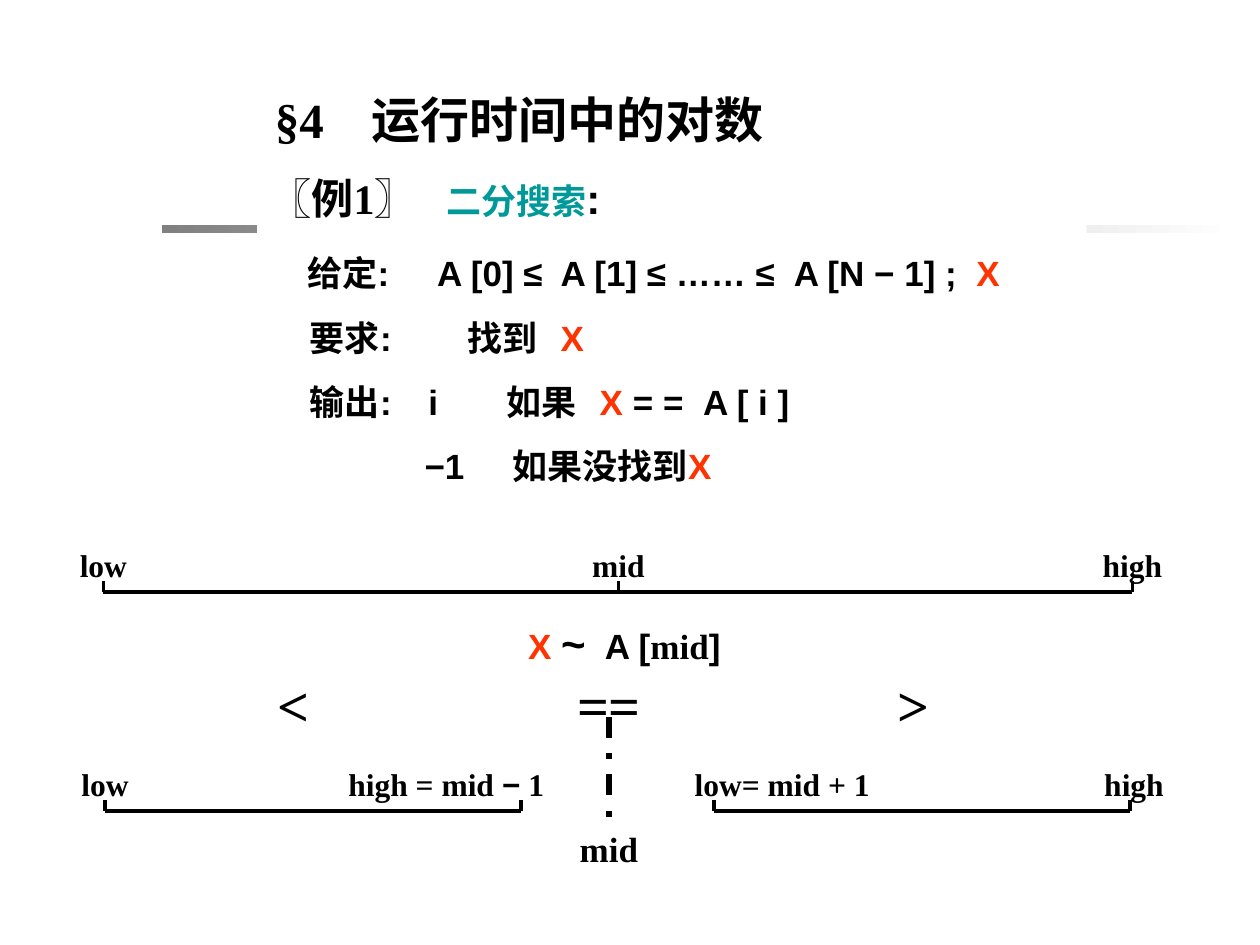
from lxml import etree
from pptx import Presentation
from pptx.dml.color import RGBColor
from pptx.enum.dml import MSO_LINE
from pptx.enum.shapes import MSO_CONNECTOR, MSO_SHAPE
from pptx.enum.text import PP_ALIGN
from pptx.oxml.ns import qn
from pptx.util import Inches, Pt

LEFT, CENTER = PP_ALIGN.LEFT, PP_ALIGN.CENTER
STRAIGHT, RECT = MSO_CONNECTOR.STRAIGHT, MSO_SHAPE.RECTANGLE
DASH_DOT = MSO_LINE.DASH_DOT
SERIF, SANS = "Times New Roman", "Arial"
BLACK, WHITE, GRAY, TEAL, RED = "000000", "FFFFFF", "808080", "009999", "FF3300"
COLUMNS, ROWS = 120, 90


def rgb(value):
    return RGBColor.from_string(value)


class Deck:
    def __init__(self):
        self.prs = Presentation()
        self.prs.slide_width, self.prs.slide_height = Inches(10), Inches(7.5)
        self.s = self.prs.slides.add_slide(self.prs.slide_layouts[6])

    def x(self, columns):
        return round(self.prs.slide_width * columns / COLUMNS)

    def y(self, rows):
        return round(self.prs.slide_height * rows / ROWS)

    def place(self, left, top, width, height):
        return self.x(left), self.y(top), self.x(width), self.y(height)

    def style(self, font, size=None, name=None, color=None):
        if size:
            font.size = Pt(size)
        if name:
            font.name = name
        if color:
            font.color.rgb = rgb(color)

    def paragraph(self, p, runs, size, name, align=LEFT, tabs=()):
        if tabs:
            tab_list = etree.SubElement(p._p.get_or_add_pPr(), qn("a:tabLst"))
            for tab in tabs:
                etree.SubElement(tab_list, qn("a:tab"), pos=str(Inches(tab)), algn="l")
        p.alignment = align
        p.font.bold = True
        self.style(p.font, size, name, BLACK)
        for text, changes in runs:
            r = p.add_run()
            r.text = text
            self.style(r.font, **changes)

    def text(self, box, paragraphs, size, name=SERIF, align=CENTER, inset=0.0,
             gap=0.0, fill=None):
        sp = self.s.shapes.add_textbox(*self.place(*box))
        if fill:
            sp.fill.solid()
            sp.fill.fore_color.rgb = rgb(fill)
        tf = sp.text_frame
        tf.word_wrap = True
        tf.margin_left = tf.margin_right = Inches(inset)
        for i, (runs, tabs) in enumerate(paragraphs):
            p = tf.add_paragraph() if i else tf.paragraphs[0]
            self.paragraph(p, runs, size, name, align, tabs)
            if i:
                p.space_before = Pt(gap)

    def label(self, center, top, width, height, text, size):
        runs = text if isinstance(text, list) else [(text, {})]
        self.text((center - width / 2, top, width, height), [(runs, [])], size)

    def line(self, x1, y1, x2, y2, width=2, dash=None):
        c = self.s.shapes.add_connector(
            STRAIGHT, self.x(x1), self.y(y1), self.x(x2), self.y(y2))
        c.line.width = Pt(width)
        c.line.color.rgb = rgb(BLACK)
        if dash:
            c.line.dash_style = dash
        etree.SubElement(c._element.spPr, qn("a:effectLst"))

    def interval(self, row, marks):
        self.line(marks[0][0], row, marks[-1][0], row)
        for tick, center, width, text in marks:
            self.line(tick, row, tick, row - 1.1)
            self.label(center, row - 5, width, 4.8, text, 18)

    def gradient_bar(self, box, start, end):
        sp = self.s.shapes.add_shape(RECT, *self.place(*box))
        sp.shadow.inherit = False
        sp.fill.gradient()
        sp.fill.gradient_angle = 0
        for stop, color in zip(sp.fill.gradient_stops, (start, end)):
            stop.color.rgb = rgb(color)
        sp.line.color.rgb = rgb(WHITE)
        sp.line.width = Pt(0.11)


def main():
    deck = Deck()
    red, plain = {"color": RED}, {}
    sans = {"name": SANS}

    deck.gradient_bar((15.35, 21.35, 102.4, 0.9), GRAY, WHITE)
    deck.text((25, 7.9, 86, 6.8), [([("§4\t运行时间中的对数", plain)], [0.77])],
              28, align=LEFT, inset=0.1)

    problem = [
        ([("〖例1〗\t", {"size": 24, "name": SERIF}), ("二分搜索", {"color": TEAL}),
          (":", {"size": 24})], [1.4]),
        ([("\t", {"size": 24}), ("给定:\tA [0] ≤\tA [1] ≤ …… ≤\tA [N − 1] ;\t", plain),
          ("X", red)], [0.3, 1.33, 2.31, 4.16, 5.61]),
        ([("\t要求:\t找到\t", plain), ("X", red)], [0.32, 1.57, 2.31]),
        ([("\t输出:\ti\t如果\t", plain), ("X ", red), ("= =\tA [ i ]", plain)],
         [0.32, 1.26, 1.88, 2.62, 3.44]),
        ([("\t−1\t如果没找到", plain), ("X", red)], [1.23, 1.93]),
    ]
    deck.text((24.5, 15.8, 79, 35.2), problem, 20, SANS, LEFT, 0.1, 12.5, WHITE)

    deck.interval(56.4, [(9.85, 9.85, 8, "low"), (58.9, 58.9, 9, "mid"),
                         (107.85, 107.85, 8, "high")])
    comparison = [("X ", red), ("~", {"size": 24}), ("\tA [", plain),
                  ("mid", {"name": SERIF}), ("]", plain)]
    deck.text((50.3, 58.2, 31.7, 6), [(comparison, [0.61])], 20, SANS, LEFT)

    deck.interval(77.25, [(10, 10, 8, "low"),
                          (49.6, 42.5, 25, [("high = mid ", plain), ("−", sans),
                                            (" 1", plain)])])
    deck.interval(77.25, [(68, 74.5, 25, "low= mid + 1"), (107.6, 108, 8, "high")])

    for center, sign in ((28, "<"), (87, ">"), (58, "==")):
        deck.label(center, 63.3, 12, 7.7, sign, 32)
    deck.line(58, 68.25, 58, 78.2, 3, DASH_DOT)
    deck.label(58, 78.2, 12, 5.3, "mid", 20)

    deck.prs.save("out.pptx")


if __name__ == "__main__":
    main()
